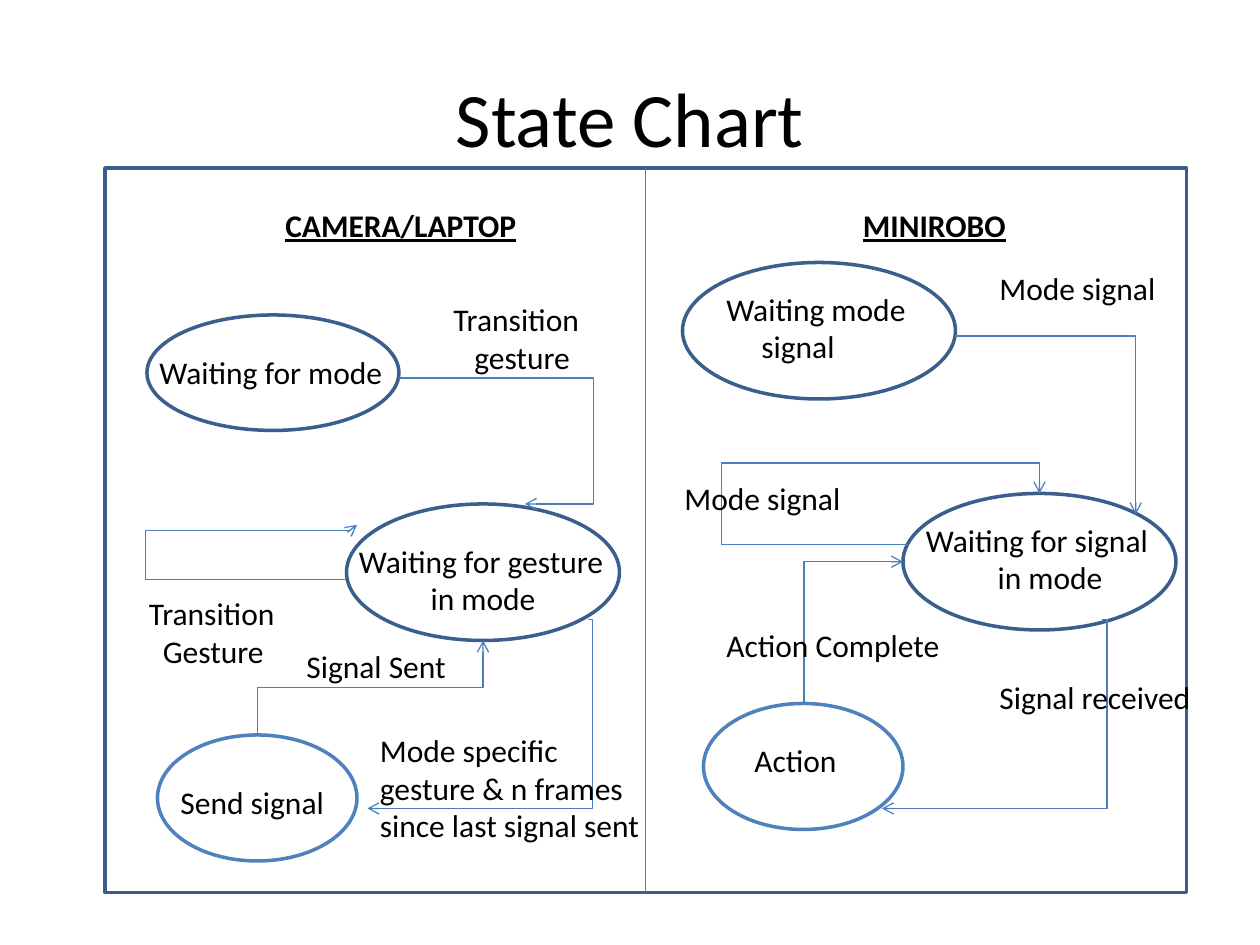
from lxml.etree import SubElement
from pptx import Presentation
from pptx.dml.color import RGBColor
from pptx.enum.shapes import MSO_CONNECTOR as LINK, MSO_SHAPE as SHAPE
from pptx.enum.text import MSO_ANCHOR as ANCHOR, PP_ALIGN as ALIGN
from pptx.oxml.ns import qn
from pptx.util import Pt


def color(code):
    return RGBColor.from_string(code)


class Chart:
    FONT, SIZE = "Calibri", 18
    INK, DARK, BLUE, LINE = "000000", "3A5F8C", "4F81BD", "4B7EBC"

    def __init__(self, slide):
        self.slide = slide
        self.shapes = slide.shapes

    def style(self, para, size=SIZE, bold=False):
        font = para.font
        font.name, font.size, font.bold = self.FONT, Pt(size), bold
        font.underline = bold
        font.color.rgb = color(self.INK)

    def title(self, text, x, y, w, h):
        box = self.shapes.title
        box.left, box.top, box.width, box.height = map(Pt, (x, y, w, h))
        frame = box.text_frame
        frame.text = text
        frame.vertical_anchor = ANCHOR.MIDDLE
        para = frame.paragraphs[0]
        para.alignment = ALIGN.CENTER
        self.style(para, 44)

    def outline(self, kind, x, y, w, h, line):
        item = self.shapes.add_shape(kind, Pt(x), Pt(y), Pt(w), Pt(h))
        item.shadow.inherit = False
        item.fill.background()
        item.line.color.rgb = color(line)
        item.line.width = Pt(2)
        return item

    def label(self, x, y, w, lines, indent=0, bold=False):
        """Add unwrapped lines; indent shifts the last one, in points."""
        height = 7.2 + 21.8 * len(lines)
        box = self.shapes.add_textbox(Pt(x), Pt(y), Pt(w), Pt(height))
        frame = box.text_frame
        frame.word_wrap = False
        frame.text = "\n".join(lines)
        for para in frame.paragraphs:
            self.style(para, bold=bold)
        if indent:
            props = frame.paragraphs[-1]._p.get_or_add_pPr()
            props.set("marL", str(Pt(indent)))

    def link(self, kind, x1, y1, x2, y2):
        wire = self.shapes.add_connector(kind, Pt(x1), Pt(y1), Pt(x2), Pt(y2))
        wire.line.color.rgb = color(self.LINE)
        wire.line.width = Pt(0.75)
        SubElement(wire._element.spPr, qn("a:effectLst"))
        return wire

    def elbow(self, start, end, stops=(), rising=False):
        """Add a bent arrow whose turns lie at the stops (x, then y).

        A rising arrow leaves upwards and goes right; its stop is a y.
        """
        (x1, y1), (x2, y2) = start, end
        spans = [(x1, x2 - x1), (y1, y2 - y1)]
        if rising:
            spans.reverse()
            mid_x, mid_y = (x1 + x2) / 2, (y1 + y2) / 2
            half_w, half_h = abs(y2 - y1) / 2, abs(x2 - x1) / 2
            x1, x2 = mid_x - half_w, mid_x + half_w
            y1, y2 = mid_y - half_h, mid_y + half_h
        wire = self.link(LINK.ELBOW, x1, y1, x2, y2)
        props = wire._element.spPr
        if rising:
            props.find(qn("a:xfrm")).set("rot", str(270 * 60000))
        geom = props.find(qn("a:prstGeom"))
        geom.set("prst", f"bentConnector{len(stops) + 2}")
        guides = geom.find(qn("a:avLst"))
        for num, (stop, (base, span)) in enumerate(zip(stops, spans), 1):
            value = round((stop - base) / span * 100000)
            SubElement(guides, qn("a:gd"), name=f"adj{num}", fmla=f"val {value}")
        SubElement(props.find(qn("a:ln")), qn("a:tailEnd"), type="arrow")


def main():
    deck = Presentation()
    deck.slide_width, deck.slide_height = Pt(720), Pt(540)
    chart = Chart(deck.slides.add_slide(deck.slide_layouts[5]))
    chart.title("State Chart", 36, 21.6, 648, 90)

    frame = chart.outline(SHAPE.RECTANGLE, 60, 96, 618, 414, chart.DARK)
    split = chart.link(LINK.STRAIGHT, 369, 96, 369, 510)
    split.begin_connect(frame, 0)
    split.end_connect(frame, 2)

    states = [
        (84, 180, 144, 66, chart.DARK),
        (198, 288, 156, 78, chart.DARK),
        (90, 420, 114, 72, chart.BLUE),
        (390, 150, 156, 78, chart.DARK),
        (516, 282, 156, 78, chart.DARK),
        (402, 402, 114, 72, chart.BLUE),
    ]
    for state in states:
        chart.outline(SHAPE.OVAL, *state)

    chart.elbow((228, 216), (300, 288), [339])
    chart.elbow((198, 331), (204, 300), [83.5, 303])
    chart.elbow((336, 354), (210, 462), [338.6])
    chart.elbow((147, 420), (276, 366), [393], rising=True)
    chart.elbow((546, 192), (649, 294))
    chart.elbow((519, 311), (594, 282), [412.5, 264.5])
    chart.elbow((630, 354), (504, 462), [632.6])
    chart.elbow((459.5, 402), (516, 321), rising=True)

    chart.label(156, 114, 160, ["CAMERA/LAPTOP"], bold=True)
    chart.label(486, 114, 120, ["MINIROBO"], bold=True)
    labels = [
        (84, 198, 143, ["Waiting for mode"]),
        (198, 306, 160, ["Waiting for gesture", "in mode"], 41),
        (252, 168, 89, ["Transition", "gesture"], 12),
        (78, 336, 91, ["Transition", "Gesture"], 8),
        (210, 414, 168,
         ["Mode specific", "gesture & n frames", "since last signal sent"]),
        (96, 444, 98, ["Send signal"]),
        (168, 366, 95, ["Signal Sent"]),
        (408, 162, 122, ["Waiting mode", "signal"], 20),
        (408, 420, 78, ["Action"], 16),
        (408, 354, 138, ["Action Complete"]),
        (522, 294, 143, ["Waiting for signal", "in mode"], 41),
        (564, 150, 105, ["Mode signal"]),
        (384, 270, 105, ["Mode signal"]),
        (564, 384, 125, ["Signal received"]),
    ]
    for item in labels:
        chart.label(*item)
    deck.save("out.pptx")


if __name__ == "__main__":
    main()
